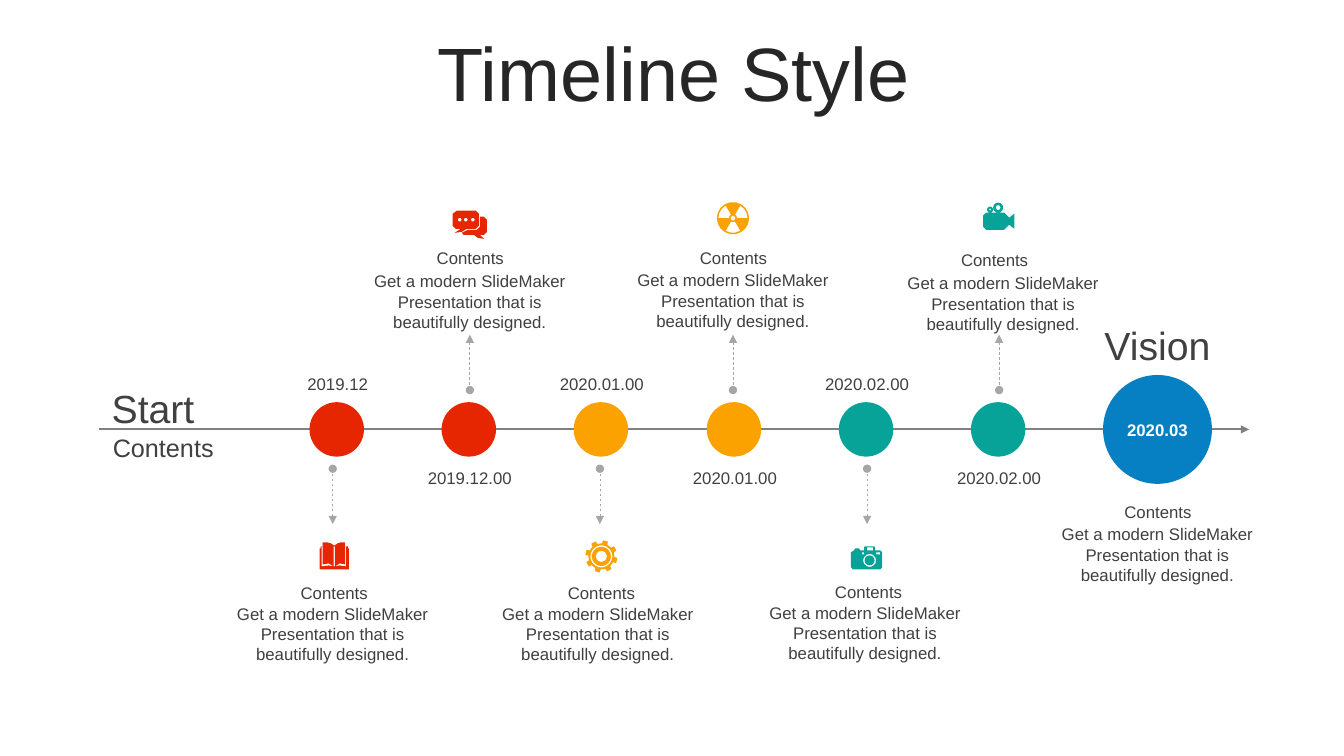
from dataclasses import dataclass
from math import cos, radians, sin

from lxml.etree import SubElement
from pptx import Presentation
from pptx.dml.color import RGBColor
from pptx.enum.dml import MSO_LINE
from pptx.enum.shapes import MSO_CONNECTOR, MSO_SHAPE
from pptx.enum.text import MSO_ANCHOR, MSO_AUTO_SIZE, PP_ALIGN
from pptx.oxml.ns import qn
from pptx.util import Pt

PX = 9144
COLORS = {
    "title": "262626", "text": "404040", "axis": "808080", "pointer": "A6A6A6",
    "red": "E62601", "amber": "FBA200", "teal": "07A398", "blue": "0680C3", "white": "FFFFFF",
}
FRAME = {"word_wrap": True, "auto_size": MSO_AUTO_SIZE.SHAPE_TO_FIT_TEXT}
TITLE_FRAME = {"word_wrap": True, "auto_size": MSO_AUTO_SIZE.NONE,
               "vertical_anchor": MSO_ANCHOR.MIDDLE}
HEADING = "Contents"
DESCRIPTION = "Get a modern SlideMaker Presentation that is beautifully designed."
DISC = 54
DISC_TOP = 399
FIRST_LEFT, LAST_LEFT = 307, 963

Point = tuple[float, float]
Contour = list[Point]


@dataclass
class Label:
    text: str
    left: int
    top: int
    width: int
    height: int = 30
    size: int = 12
    color: str = "text"
    bold: bool = False
    align: PP_ALIGN = PP_ALIGN.CENTER
    anchor: MSO_ANCHOR = MSO_ANCHOR.TOP


@dataclass
class Milestone:
    date: str
    color: str
    pointer: int
    heading: tuple[int, int]
    description: tuple[int, int]
    icon: list[Contour]


def arc(x: float, y: float, radius: float, start: int = 0, sweep: int = 360) -> Contour:
    step = 20 if radius > 8 else 30 if radius > 2.5 else 60
    count = abs(sweep) // step
    points = count if abs(sweep) == 360 else count + 1
    angles = [radians(start + sweep * index / count) for index in range(points)]
    return [(x + radius * cos(angle), y + radius * sin(angle)) for angle in angles]


def sector(x: float, y: float, inner: float, outer: float, start: int) -> Contour:
    return arc(x, y, outer, start, 60) + arc(x, y, inner, start + 60, -60)


def box(left: int, top: int, right: int, bottom: int) -> Contour:
    return [(left, top), (right, top), (right, bottom), (left, bottom)]


def gear(x: float, y: float) -> Contour:
    corners = [(13, -12), (16, -9), (16, 9), (13, 12)]
    return [(x + radius * cos(radians(tooth + offset)), y + radius * sin(radians(tooth + offset)))
            for tooth in range(15, 375, 45) for radius, offset in corners]


BOOK = [
    [(317, 565), (317, 544), (318, 544), (318, 542), (320, 542), (320, 538), (324, 538),
     (328, 539), (331, 541), (332, 541), (335, 539), (338, 538), (342, 538), (342, 542),
     (345, 542), (345, 544), (346, 544), (346, 565)],
    [(319, 542), (320, 542), (320, 560), (326, 559), (331, 562), (326, 561), (319, 562)],
    [(343, 542), (342, 542), (342, 560), (337, 559), (332, 562), (337, 561), (343, 562)],
    box(331, 542, 332, 562),
]
CHAT = [
    [(476, 215), (480, 215), (483, 218), (483, 230), (480, 233), (476, 233), (480, 237),
     (474, 236), (470, 233), (460, 233), (458, 231), (464, 228), (473, 228), (476, 225)],
    [(453, 209), (472, 209), (475, 212), (475, 224), (472, 227), (463, 227), (458, 230),
     (451, 231), (457, 227), (452, 227), (449, 224), (449, 212)],
    *[arc(x, 218, 2) for x in (456, 462, 469)],
]
GEAR = [gear(596.5, 552), *[arc(596.5, 552, radius) for radius in (11, 9.5, 5.5)]]
RADIATION = [
    arc(727, 216.5, 16), arc(727, 216.5, 2.5),
    *[sector(727, 216.5, 4, 14.5, start) for start in (60, 180, 300)],
]
CAMERA = [
    [(858, 542), (867, 542), (868, 543), (868, 546), (873, 546), (875, 548), (875, 563),
     (873, 565), (846, 565), (844, 563), (844, 548), (847, 546), (848, 544), (852, 544),
     (853, 546), (857, 546), (857, 543)],
    box(860, 543, 866, 546), box(855, 548, 857, 550), box(869, 548, 873, 550),
    arc(862.5, 556, 6.5), arc(862.5, 556, 5),
]
MOVIE = [
    [(978, 211), (996, 211), (999, 214), (1001, 216), (1006, 212), (1006, 227), (1001, 223),
     (999, 225), (996, 228), (978, 228), (975, 225), (975, 214)],
    arc(990, 206, 5), arc(990, 206, 2.5), arc(982, 208, 3), arc(982, 208, 1),
]

MILESTONES = [
    Milestone("2019.12", "red", 330, (221, 573), (220, 594), BOOK),
    Milestone("2019.12.00", "red", 466, (356, 241), (356, 264), CHAT),
    Milestone("2020.01.00", "amber", 595, (486, 573), (483, 594), GEAR),
    Milestone("2020.01.00", "amber", 727, (617, 241), (617, 263), RADIATION),
    Milestone("2020.02.00", "teal", 860, (751, 572), (748, 593), CAMERA),
    Milestone("2020.02.00", "teal", 991, (876, 243), (885, 266), MOVIE),
]
END_LABELS = [
    Label("Start", 101, 376, 130, 57, 28, align=PP_ALIGN.LEFT, anchor=MSO_ANCHOR.MIDDLE),
    Label("Contents", 102, 424, 128, size=18, align=PP_ALIGN.LEFT),
    Label("Vision", 1083, 314, 130, 57, 28, anchor=MSO_ANCHOR.MIDDLE),
    Label("2020.03", 1085, 411, 126, color="white", bold=True, anchor=MSO_ANCHOR.MIDDLE),
]


def rgb(name: str) -> RGBColor:
    return RGBColor.from_string(COLORS[name])


def apply(target, values: dict) -> None:
    for name, value in values.items():
        setattr(target, name, value)


def write(shape, text: str, size: int, color: str, bold: bool, align: PP_ALIGN, frame: dict) -> None:
    apply(shape.text_frame, frame)
    paragraph = shape.text_frame.paragraphs[0]
    paragraph.alignment = align
    run = paragraph.add_run()
    run.text = text
    apply(run.font, {"name": "Arial", "size": Pt(size), "bold": bold})
    run.font.color.rgb = rgb(color)


def add_label(slide, label: Label) -> None:
    shape = slide.shapes.add_textbox(
        label.left * PX, label.top * PX, label.width * PX, label.height * PX)
    write(shape, label.text, label.size, label.color, label.bold, label.align,
          FRAME | {"vertical_anchor": label.anchor})


def add_caption(slide, heading: tuple[int, int], description: tuple[int, int]) -> None:
    add_label(slide, Label(DESCRIPTION, *description, 220, 71))
    add_label(slide, Label(HEADING, *heading, 221))


def add_arrow(slide, tip: tuple[int, int], end: tuple[int, int], color: str,
              width: float, dotted: bool) -> None:
    connector = slide.shapes.add_connector(
        MSO_CONNECTOR.STRAIGHT, *[length * PX for length in (*tip, *end)])
    connector.line.color.rgb = rgb(color)
    connector.line.width = Pt(width)
    if dotted:
        connector.line.dash_style = MSO_LINE.DASH
    properties = connector._element.spPr
    outline = properties.find(qn("a:ln"))
    SubElement(outline, qn("a:headEnd"), type="triangle")
    if dotted:
        SubElement(outline, qn("a:tailEnd"), type="oval")
    SubElement(properties, qn("a:effectLst"))


def paint(shape, color: str) -> None:
    shape.shadow.inherit = False
    shape.fill.solid()
    shape.fill.fore_color.rgb = rgb(color)
    shape.line.fill.background()


def add_disc(slide, left: int, top: int, diameter: int, color: str) -> None:
    paint(slide.shapes.add_shape(
        MSO_SHAPE.OVAL, left * PX, top * PX, diameter * PX, diameter * PX), color)


def add_icon(slide, contours: list[Contour], color: str) -> None:
    scaled = [[(round(x * PX), round(y * PX)) for x, y in contour] for contour in contours]
    builder = slide.shapes.build_freeform(*scaled[0][0])
    builder.add_line_segments(scaled[0][1:], close=True)
    for contour in scaled[1:]:
        builder.move_to(*contour[0])
        builder.add_line_segments(contour[1:], close=True)
    paint(builder.convert_to_shape(), color)


def main() -> None:
    presentation = Presentation()
    apply(presentation, {"slide_width": 1333 * PX, "slide_height": 750 * PX})
    slide = presentation.slides.add_slide(presentation.slide_layouts[5])
    title = slide.shapes.title
    apply(title, {"left": 35 * PX, "top": 37 * PX, "width": 1266 * PX, "height": 79 * PX})
    write(title, "Timeline Style", 54, "title", False, PP_ALIGN.CENTER, TITLE_FRAME)
    apply(title.text_frame.paragraphs[0], {"line_spacing": 0.9, "space_before": Pt(0)})

    add_arrow(slide, (1239, 426), (98, 426), "axis", 1.5, False)
    for index, milestone in enumerate(MILESTONES):
        below = index % 2 == 0
        left = FIRST_LEFT + round((LAST_LEFT - FIRST_LEFT) * index / (len(MILESTONES) - 1))
        tip, end = (520, 465) if below else (332, 387)
        add_caption(slide, milestone.heading, milestone.description)
        add_arrow(slide, (milestone.pointer, tip), (milestone.pointer, end), "pointer", 0.5, True)
        add_label(slide, Label(milestone.date, left - 40, 366 if below else 459, 136))
        add_disc(slide, left, DISC_TOP, DISC, milestone.color)
        add_icon(slide, milestone.icon, milestone.color)

    add_caption(slide, (1038, 493), (1038, 515))
    add_disc(slide, 1094, 372, 2 * DISC, "blue")
    for label in END_LABELS:
        add_label(slide, label)
    presentation.save("out.pptx")


if __name__ == "__main__":
    main()
